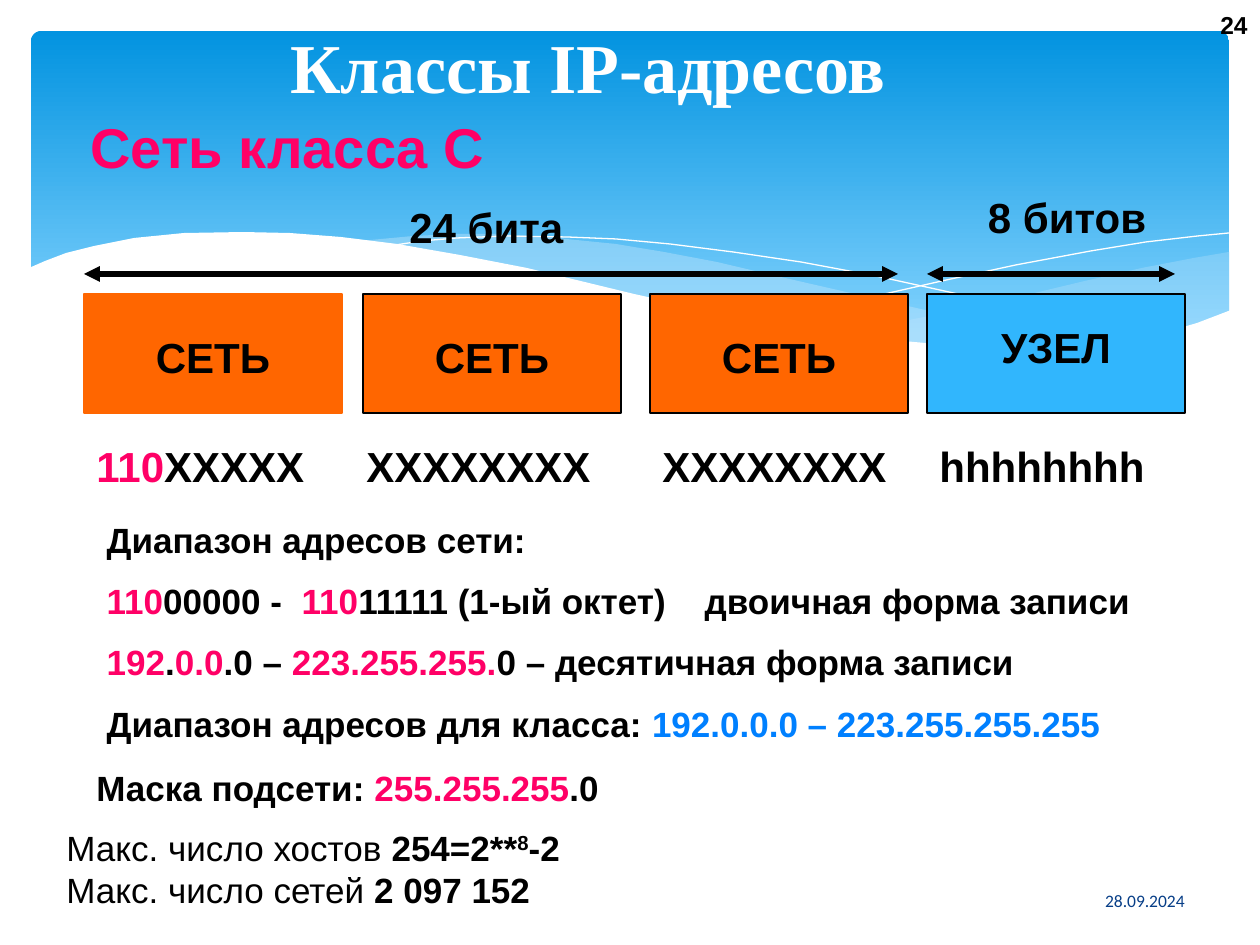
from dataclasses import dataclass

from pptx import Presentation
from pptx.dml.color import RGBColor as Rgb
from pptx.enum.shapes import MSO_CONNECTOR as Connector, MSO_SHAPE as Shape
from pptx.enum.text import MSO_ANCHOR as Anchor, MSO_AUTO_SIZE as AutoSize, PP_ALIGN as Align
from pptx.oxml.ns import qn
from pptx.oxml.xmlchemy import OxmlElement as element
from pptx.util import Emu, Pt

SCALE = 914400 / 126  # EMU per px


@dataclass(frozen=True)
class Theme:
    black: str = "000000"
    white: str = "FFFFFF"
    pink: str = "FF0066"
    orange: str = "FF6600"
    node: str = "31B6FD"
    range: str = "0080FF"
    date: str = "073E87"
    sky_top: str = "0293E0"
    sky_bottom: str = "83D3FE"
    wave: str = "C6E7FC"
    title: int = 40
    heading: int = 32
    label: int = 24
    text: int = 20
    number: int = 14
    small: int = 10


T = Theme()
PINK, BLACK = {"color": T.pink}, {"color": T.black}
PLAIN = {"bold": False}

RIGHT_WAVE = [
    (1229, 252), (1194, 258), (1142, 268), (1085, 281), (1014, 298), (949, 312), (890, 324),
    (833, 334), (871, 339), (922, 345), (969, 348), (1012, 350), (1052, 349), (1087, 347),
    (1121, 343), (1151, 339), (1178, 333), (1204, 324), (1230, 311), (1230, 252)]
LEFT_WAVE = [
    (1125, 344), (1091, 339), (1017, 328), (934, 312), (842, 291), (772, 275), (717, 262),
    (664, 252), (616, 244), (556, 238), (503, 234), (455, 234), (413, 236), (360, 241),
    (431, 251), (509, 266), (566, 280), (619, 292), (668, 302), (736, 318), (799, 329),
    (857, 338), (911, 345), (959, 349), (1003, 351), (1043, 351), (1080, 349)]
FALLING_CURVE = [
    (389, 246), (422, 241), (457, 238), (505, 236), (567, 237), (616, 239), (670, 244),
    (733, 252), (801, 262), (876, 276), (958, 294), (1047, 316), (1143, 343)]
RISING_CURVE = [
    (772, 324), (822, 310), (876, 296), (942, 281), (1016, 265), (1091, 251), (1146, 242),
    (1198, 236), (1229, 233)]
WHITE_WAVE = [
    (1231, 310), (1197, 323), (1159, 334), (1118, 342), (1071, 346), (1019, 349), (959, 346),
    (892, 340), (815, 330), (730, 315), (634, 294), (527, 268), (460, 255), (397, 244),
    (341, 237), (290, 233), (243, 232), (184, 233), (134, 238), (94, 246), (66, 253),
    (45, 261), (29, 268), (29, 415), (1231, 415)]


def px(*lengths):
    return [Emu(round(length * SCALE)) for length in lengths]


def paint(shape, fill=None, line=None, width=0.75):
    shape.shadow.inherit = False
    for part, color in ((shape.fill, fill), (shape.line.fill, line)):
        if color:
            part.solid()
            part.fore_color.rgb = Rgb.from_string(color)
        else:
            part.background()
    if line:
        shape.line.width = Pt(width)


def add_runs(paragraph, runs, base):
    for text, changes in runs:
        run = paragraph.add_run()
        run.text = text
        formats = {"name": "Arial", "bold": True, "color": T.black, **base, **changes}
        run.font.color.rgb = Rgb.from_string(formats.pop("color"))
        raised = formats.pop("raised", False)
        for name, value in formats.items():
            setattr(run.font, name, value)
        if raised:
            run.font._element.set("baseline", "30000")


def write(shape, lines, size, align=Align.LEFT, gap=0, anchor=Anchor.TOP, wrap=True, **base):
    frame = shape.text_frame
    for name, value in {"auto_size": AutoSize.NONE, "word_wrap": wrap,
                        "vertical_anchor": anchor}.items():
        setattr(frame, name, value)
    for index, runs in enumerate(lines):
        paragraph = frame.add_paragraph() if index else frame.paragraphs[0]
        paragraph.alignment = align
        paragraph.space_before = Pt(gap if index else 0)
        add_runs(paragraph, runs, {"size": Pt(size), **base})


def add_text(slide, box, lines, size, **options):
    if isinstance(lines, str):
        lines = [[(lines, {})]]
    write(slide.shapes.add_textbox(*px(*box)), lines, size, **options)


def add_outline(slide, points, closed=True, alpha=None, **colors):
    builder = slide.shapes.build_freeform(*points[0], scale=SCALE)
    builder.add_line_segments(points[1:], close=closed)
    outline = builder.convert_to_shape()
    paint(outline, **colors)
    if alpha:
        tint = element("a:alpha")
        tint.set("val", str(alpha * 1000))
        outline._element.spPr.find(qn("a:solidFill"))[0].append(tint)


def add_backdrop(slide, box):
    sky = slide.shapes.add_shape(Shape.ROUNDED_RECTANGLE, *px(*box))
    paint(sky)
    sky.adjustments[0] = 0.03
    sky.fill.gradient()
    sky.fill.gradient_angle = 270
    for stop, position, color in zip(sky.fill.gradient_stops, (0, 0.9),
                                     (T.sky_top, T.sky_bottom)):
        stop.position = position
        stop.color.rgb = Rgb.from_string(color)
    # Waves over the lower edge of the sky
    add_outline(slide, RIGHT_WAVE, fill=T.wave, alpha=29)
    add_outline(slide, LEFT_WAVE, fill=T.wave, alpha=40)
    for curve in (FALLING_CURVE, RISING_CURVE):
        add_outline(slide, curve, closed=False, line=T.white, width=0)
    add_outline(slide, WHITE_WAVE, fill=T.white)


def place(slide, placeholder, box):
    slide.shapes._spTree.append(placeholder._element)  # in front of the backdrop
    for side, length in zip(("left", "top", "width", "height"), px(*box)):
        setattr(placeholder, side, length)


def add_title(slide, box):
    title = slide.shapes.title
    place(slide, title, box)
    write(title, [[("Классы IP-адресов", {})]], T.title, Align.CENTER,
          name="Times New Roman", color=T.white)
    title.text_frame.margin_top, title.text_frame.margin_bottom = px(21, 10)
    title.text_frame.paragraphs[0].line_spacing = 0.7


def add_span(slide, left, top, width):
    arrow = slide.shapes.add_connector(
        Connector.STRAIGHT, *px(left, top, left + width, top))
    arrow.line.color.rgb = Rgb.from_string(T.black)
    arrow.line.width = Pt(3)
    for end in ("a:headEnd", "a:tailEnd"):
        tip = element(end)
        tip.set("type", "triangle")
        arrow.line._ln.append(tip)
    arrow._element.spPr.append(element("a:effectLst"))


def add_octet(slide, box, name, name_top, fill, line, bits, bits_left):
    left, top, width, height = box
    paint(slide.shapes.add_shape(Shape.RECTANGLE, *px(*box)), fill, line)
    add_text(slide, (left + 30, top + name_top, width - 60, 63), name, T.label,
             align=Align.CENTER)
    add_text(slide, (left + bits_left, top + 140, width, 63), [bits], T.label)


def add_address(slide, box):
    left, top, width, height = box
    # Bit counts and their spans
    add_text(slide, (left + 308, top + 10, 189, 63), "24 бита", T.label, align=Align.CENTER)
    add_text(slide, (left + 884, top, 198, 63), "8 битов", T.label, align=Align.CENTER)
    add_span(slide, left, top + 89, 814)
    add_span(slide, left + 843, top + 89, 248)
    # Four octets
    network = [("XXXXXXXX", {})]
    octets = [
        (0, "СЕТЬ", 31, T.orange, T.orange, [("110", PINK), ("XXXXX", {})], 0),
        (279, "СЕТЬ", 31, T.orange, T.black, network, -9),
        (566, "СЕТЬ", 31, T.orange, T.black, network, 0),
        (843, "УЗЕЛ", 21, T.node, T.black, [("hhhhhhhh", {})], 0)]
    for offset, *details in octets:
        add_octet(slide, (left + offset, top + 109, 258, 119), *details)


def add_ranges(slide, box):
    ranges = slide.placeholders[1]
    place(slide, ranges, box)
    write(ranges, [
        [("Диапазон адресов сети:", {})],
        [("110", PINK), ("00000 -  ", BLACK), ("110", PINK),
         ("11111 (1-ый октет)    двоичная форма записи", BLACK)],
        [("192", PINK), (".", BLACK), ("0.0", PINK), (".0 – ", BLACK),
         ("223.255.255.", PINK), ("0 – десятичная форма записи", BLACK)],
        [("Диапазон адресов для класса: ", BLACK),
         ("192.0.0.0 – 223.255.255.255", {"color": T.range})],
    ], T.text, gap=11)
    for paragraph in ranges.text_frame.paragraphs:
        properties = paragraph._p.get_or_add_pPr()
        for name in ("marL", "indent"):
            properties.set(name, "0")
        properties.append(element("a:buNone"))


def add_limits(slide, box):
    left, top, width, height = box
    add_text(slide, box, [
        [("Макс. число хостов ", PLAIN), ("254=2**", {}), ("8", {"raised": True}), ("-2 ", {})],
        [("Макс. число сетей ", PLAIN), ("2 097 152 ", {})],
    ], T.text, align=Align.JUSTIFY)
    add_text(slide, (left + 30, top - 60, 527, 54), [
        [("Маска подсети: ", {}), ("255.255.255", PINK), (".0", {})]], T.text, wrap=False)


def main():
    deck = Presentation()
    deck.slide_width, deck.slide_height = px(1260, 945)
    slide = deck.slides.add_slide(deck.slide_layouts[1])
    add_backdrop(slide, (31, 31, 1198, 340))
    # Date, title and heading
    add_text(slide, (903, 876, 294, 50), "28.09.2024", T.small, align=Align.RIGHT,
             anchor=Anchor.MIDDLE, name="Calibri", bold=False, color=T.date)
    add_title(slide, (0, 25, 1176, 93))
    add_text(slide, (74, 106, 427, 79), "Сеть класса С", T.heading,
             align=Align.CENTER, color=T.pink)
    # Address layout, ranges and limits
    add_address(slide, (84, 185, 1102, 318))
    add_ranges(slide, (94, 512, 1062, 243))
    add_limits(slide, (54, 820, 1155, 97))
    # Slide number
    add_text(slide, (1206, 0, 54, 50), "24", T.number, align=Align.RIGHT,
             anchor=Anchor.MIDDLE)
    deck.save("out.pptx")


if __name__ == "__main__":
    main()
